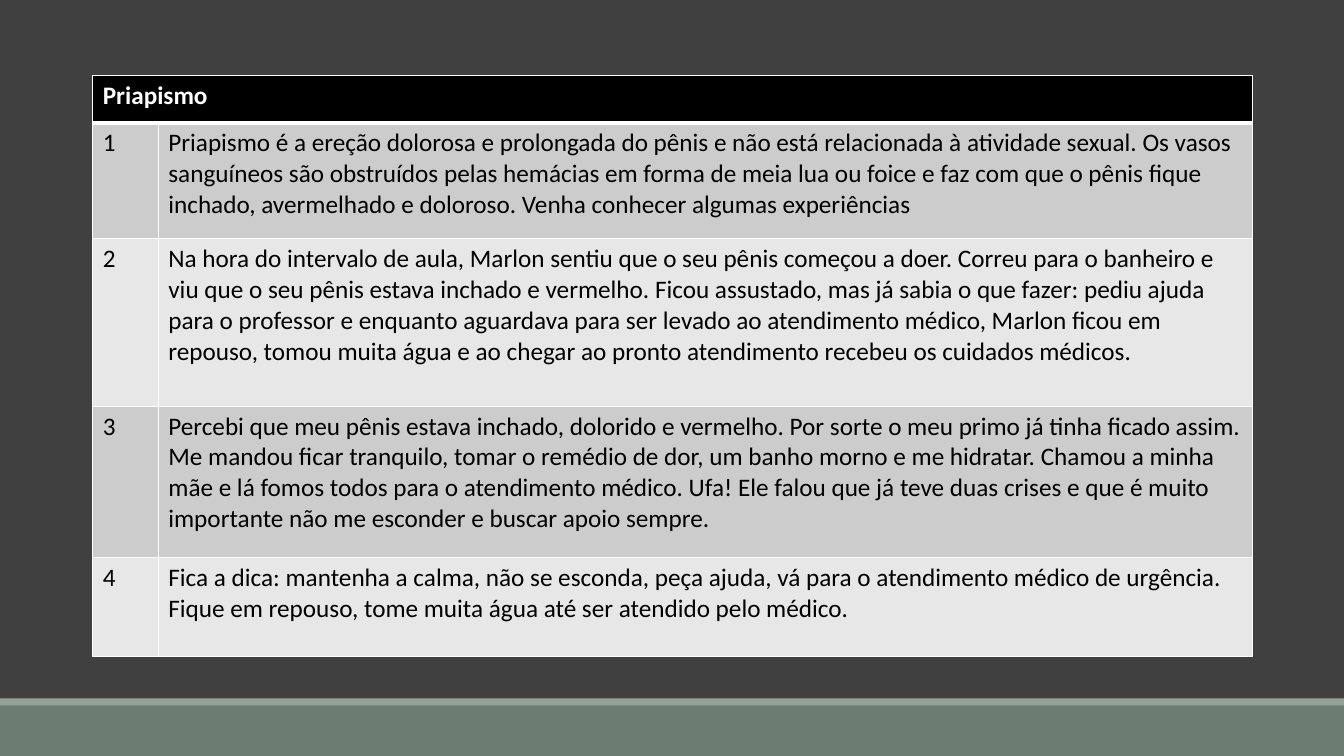
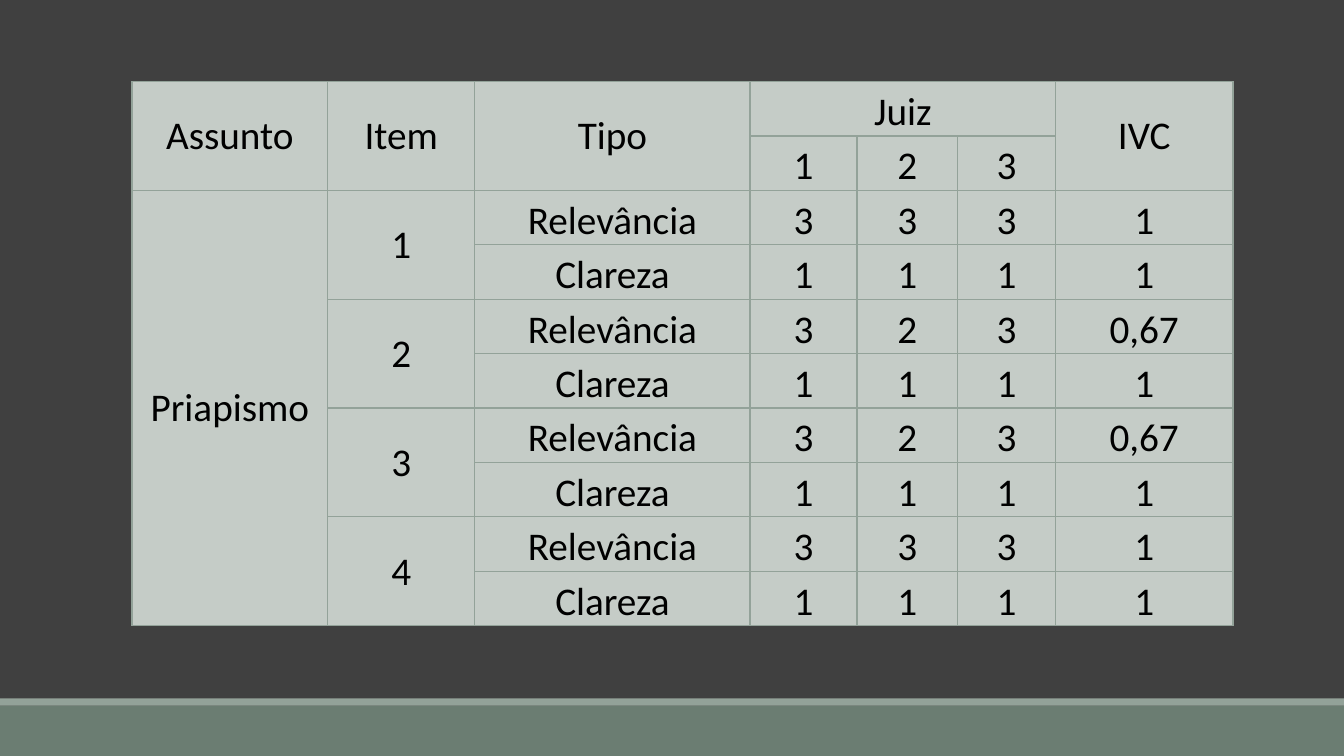
from lxml.etree import SubElement
from pptx import Presentation
from pptx.dml.color import RGBColor
from pptx.enum.shapes import MSO_SHAPE
from pptx.enum.text import MSO_ANCHOR, PP_ALIGN
from pptx.oxml.ns import qn
from pptx.util import Inches, Pt

HUES = {
    "back": "404040", "band": "6B7D72", "edge": "93A299",
    "black": "000000", "white": "FFFFFF",
    "dark": "CCCCCC", "light": "E7E7E7", "sage": "C5CCC7",
}
FONT = "Calibri"
WIDE, HIGH = 13.33, 7.5
BANDS = [(7, 0.5, "band"), (6.93, 0.07, "edge")]  # top, height, colour

STORY = [
    "Priapismo é a ereção dolorosa e prolongada do pênis e não está relacionada à atividade sexual. "
    "Os vasos sanguíneos são obstruídos pelas hemácias em forma de meia lua ou foice e faz com que "
    "o pênis fique inchado, avermelhado e doloroso. Venha conhecer algumas experiências",
    "Na hora do intervalo de aula, Marlon sentiu que o seu pênis começou a doer. Correu para o "
    "banheiro e viu que o seu pênis estava inchado e vermelho. Ficou assustado, mas já sabia o que "
    "fazer: pediu ajuda para o professor e enquanto aguardava para ser levado ao atendimento médico, "
    "Marlon ficou em repouso, tomou muita água e ao chegar ao pronto atendimento recebeu os cuidados "
    "médicos.",
    "Percebi que meu pênis estava inchado, dolorido e vermelho. Por sorte o meu primo já tinha ficado "
    "assim. Me mandou ficar tranquilo, tomar o remédio de dor, um banho morno e me hidratar. Chamou a "
    "minha mãe e lá fomos todos para o atendimento médico. Ufa! Ele falou que já teve duas crises e "
    "que é muito importante não me esconder e buscar apoio sempre.",
    "Fica a dica: mantenha a calma, não se esconda, peça ajuda, vá para o atendimento médico de "
    "urgência. Fique em repouso, tome muita água até ser atendido pelo médico.",
]

# Judges' relevance scores and index for each item
SCORES = [("3", "3", "3", "1"), ("3", "2", "3", "0,67"),
          ("3", "2", "3", "0,67"), ("3", "3", "3", "1")]
CLEAR = ("1", "1", "1", "1")


def hue(name):
    return RGBColor.from_string(HUES[name])


def assign(item, values):
    for key, value in values.items():
        setattr(item, key, value)


def new_slide(deck):
    """Add a blank slide with the bottom bands."""
    slide = deck.slides.add_slide(deck.slide_layouts[6])
    for top, tall, name in BANDS:
        band = slide.shapes.add_shape(
            MSO_SHAPE.RECTANGLE, 0, Inches(top), Inches(WIDE), Inches(tall))
        band.shadow.inherit = False
        band.fill.solid()
        band.fill.fore_color.rgb = hue(name)
        band.line.fill.background()
    return slide


def add_grid(slide, left, top, cols, rows):
    """Add a table with the given column widths and row heights."""
    table = slide.shapes.add_table(
        len(rows), len(cols), Inches(left), Inches(top),
        Inches(sum(cols)), Inches(sum(rows))).table
    assign(table, {"first_row": False, "horz_banding": False})
    for col, width in zip(table.columns, cols):
        col.width = Inches(width)
    for row, tall in zip(table.rows, rows):
        row.height = Inches(tall)
    return table


def paint(cell, fill, edge, thick=()):
    """Fill a cell and draw its borders; thick names the heavy sides."""
    props = cell._tc.get_or_add_tcPr()
    for side in "LRTB":
        width = Pt(3 if side in thick else 1)
        line = SubElement(props, qn(f"a:ln{side}"), w=str(width))
        solid = SubElement(line, qn("a:solidFill"))
        SubElement(solid, qn("a:srgbClr"), val=HUES[edge])
    cell.fill.solid()
    cell.fill.fore_color.rgb = hue(fill)


def write(cell, text, size, color="black", bold=False, align=PP_ALIGN.LEFT):
    cell.text = text
    para = cell.text_frame.paragraphs[0]
    para.alignment = align
    font = para.runs[0].font
    assign(font, {"name": FONT, "size": Pt(size), "bold": bold})
    font.color.rgb = hue(color)


def story_table(slide, left, top):
    """Numbered texts under one black heading."""
    table = add_grid(slide, left, top, [0.65, 10.85],
                     [0.47, 1.15, 1.66, 1.5, 0.98])
    # Heading
    for cell in table.rows[0].cells:
        paint(cell, "black", "white", "B")
    table.cell(0, 0).merge(table.cell(0, 1))
    write(table.cell(0, 0), "Priapismo", 18, "white", True)
    # Banded rows
    for num, text in enumerate(STORY, 1):
        for cell, words in zip(table.rows[num].cells, (str(num), text)):
            paint(cell, "dark" if num % 2 else "light", "white",
                  "T" if num == 1 else "")
            write(cell, words, 18)


def score_table(slide, left, top):
    """Judges' scores for each item, two rows per item."""
    table = add_grid(slide, left, top,
                     [1.94, 1.46, 2.73, 1.06, 1, 0.97, 1.76], [0.54] * 10)
    for cell in table.iter_cells():
        paint(cell, "sage", "edge")

    def put(row, col, text, down=1, across=1):
        cell = table.cell(row, col)
        if down * across > 1:
            cell.merge(table.cell(row + down - 1, col + across - 1))
        write(cell, text, 28, align=PP_ALIGN.CENTER)
        assign(cell, {
            "margin_left": Inches(0.01), "margin_right": Inches(0.01),
            "margin_top": Inches(0.01), "margin_bottom": 0,
            "vertical_anchor": MSO_ANCHOR.MIDDLE if down > 1 else MSO_ANCHOR.BOTTOM,
        })

    # Headings
    for col, text in [(0, "Assunto"), (1, "Item"), (2, "Tipo"), (6, "IVC")]:
        put(0, col, text, down=2)
    put(0, 3, "Juiz", across=3)
    for num in range(1, 4):
        put(1, 2 + num, str(num))
    # Scores
    put(2, 0, "Priapismo", down=8)
    for num, marks in enumerate(SCORES, 1):
        put(2 * num, 1, str(num), down=2)
        pair = [("Relevância", *marks), ("Clareza", *CLEAR)]
        for row, line in enumerate(pair, 2 * num):
            for col, text in enumerate(line, 2):
                put(row, col, text)


def main():
    deck = Presentation()
    assign(deck, {"slide_width": Inches(WIDE), "slide_height": Inches(HIGH)})
    back = deck.slide_master.background.fill
    back.solid()
    back.fore_color.rgb = hue("back")
    story_table(new_slide(deck), 0.92, 0.75)
    score_table(new_slide(deck), 1.31, 0.81)
    deck.save("out.pptx")


if __name__ == "__main__":
    main()
